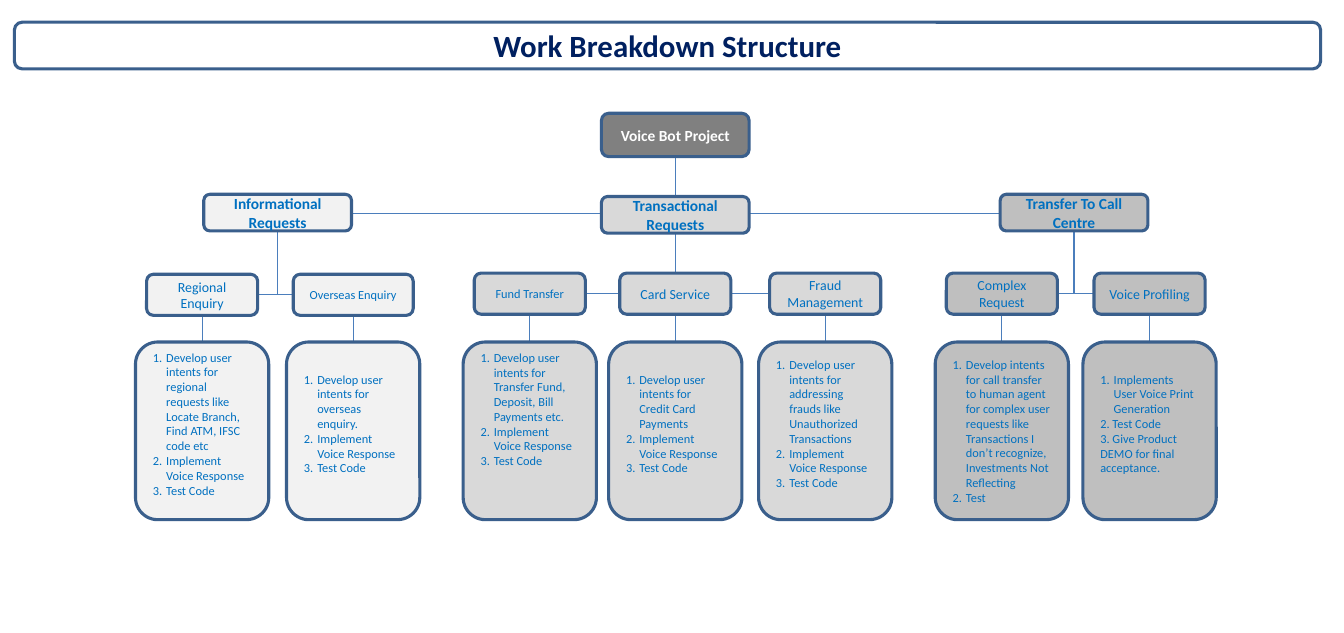
from lxml import etree
from pptx import Presentation
from pptx import util as u
from pptx.dml.color import RGBColor
from pptx.enum import shapes, text
from pptx.oxml.ns import qn

EDGE, LINK, INK, NAVY = "3A5F8C", "4B7EBC", "0070C0", "002060"
VOICE, TEST = "Implement Voice Response", "Test Code"

GROUPS = [
    ("Informational Requests", "F2F2F2", 25, 17.5, 24.7, [
        ("Regional Enquiry", 18.2, 10, 9, 1, [
            "Develop user intents for regional requests like Locate Branch, Find ATM, IFSC code etc",
            VOICE, TEST], []),
        ("Overseas Enquiry", 31.8, 10.8, 8, 1, [
            "Develop user intents for overseas enquiry.", VOICE, TEST], []),
    ]),
    ("Transactional Requests", "D9D9D9", 60.8, 17.7, 24.6, [
        ("Fund Transfer", 47.7, 10, 8, 3, [
            "Develop user intents for Transfer Fund, Deposit, Bill Payments etc.",
            VOICE, TEST], []),
        ("Card Service", 60.8, 10, 9, 1, [
            "Develop user intents for Credit Card Payments", VOICE, TEST], []),
        ("Fraud Management", 74.3, 10, 9, 1, [
            "Develop user intents for addressing frauds like Unauthorized Transactions",
            VOICE, TEST], []),
    ]),
    ("Transfer To Call Centre", "BFBFBF", 96.7, 17.5, 24.6, [
        ("Complex Request", 90.2, 10, 9, 0, [
            "Develop intents for call transfer to human agent for complex user requests like "
            "Transactions I don’t recognize, Investments Not Reflecting", "Test"], []),
        ("Voice Profiling", 103.5, 10, 9, 1, [
            "Implements User Voice Print Generation"],
            ["2. Test Code", "3. Give Product DEMO for final acceptance."]),
    ]),
]


def tint(code):
    return RGBColor.from_string(code)


def write(para, words, size=8, color=INK, bold=False, align="LEFT", auto=False):
    para.alignment = getattr(text.PP_ALIGN, align)
    run = para.add_run()
    run.text = words
    run.font.name = "Calibri"
    run.font.size = u.Pt(size)
    run.font.bold = bold
    run.font.color.rgb = tint(color)
    if auto:
        props = para._p.get_or_add_pPr()
        props.set("marL", str(u.Inches(0.12)))
        props.set("indent", str(-u.Inches(0.12)))
        etree.SubElement(props, qn("a:buFont"), typeface="+mj-lt")
        etree.SubElement(props, qn("a:buAutoNum"), type="arabicPeriod")


class Chart:
    cols, rows = 121, 57
    head, task, card = (13.3, 3.3), 3.7, (12, 16)
    top = 30.8

    def __init__(self, deck):
        self.wide, self.high = deck.slide_width, deck.slide_height
        self.slide = deck.slides.add_slide(deck.slide_layouts[6])

    def spot(self, col, row):
        return round(col * self.wide / self.cols), round(row * self.high / self.rows)

    def line(self, x, y, end, base):
        link = self.slide.shapes.add_connector(
            shapes.MSO_CONNECTOR.STRAIGHT, *self.spot(x, y), *self.spot(end, base))
        link.line.color.rgb = tint(LINK)
        link.line.width = u.Pt(0.75)
        etree.SubElement(link._element.spPr, qn("a:effectLst"))

    def box(self, mid, top, wide, high, fill):
        shape = self.slide.shapes.add_shape(
            shapes.MSO_SHAPE.ROUNDED_RECTANGLE,
            *self.spot(mid - wide / 2, top), *self.spot(wide, high))
        shape.shadow.inherit = False
        shape.fill.solid()
        shape.fill.fore_color.rgb = tint(fill)
        shape.line.color.rgb = tint(EDGE)
        shape.line.width = u.Pt(2)
        frame = shape.text_frame
        frame.word_wrap = True
        frame.vertical_anchor = text.MSO_ANCHOR.MIDDLE
        return frame

    def label(self, words, mid, top, wide, high, fill, **style):
        frame = self.box(mid, top, wide, high, fill)
        write(frame.paragraphs[0], words, align="CENTER", **style)

    def scope(self, mid, fill, steps, notes, gap):
        frame = self.box(mid, self.top, *self.card, fill)
        frame.margin_bottom = u.Inches(0.05 + 0.13 * gap)
        for i, words in enumerate(steps + notes):
            para = frame.add_paragraph() if i else frame.paragraphs[0]
            write(para, words, auto=i < len(steps))

    def group(self, name, fill, mid, top, row, tasks):
        axis = row + self.task / 2
        first, last = tasks[0], tasks[-1]
        self.line(mid, top + self.head[1], mid, row if len(tasks) % 2 else axis)
        self.line(first[1] + first[2] / 2, axis, last[1] - last[2] / 2, axis)
        self.label(name, mid, top, *self.head, fill, size=10, bold=True)
        for title, x, wide, size, gap, steps, notes in tasks:
            self.line(x, row + self.task, x, self.top)
            self.label(title, x, row, wide, self.task, fill, size=size)
            self.scope(x, fill, steps, notes, gap)


def main():
    deck = Presentation()
    deck.slide_width, deck.slide_height = u.Inches(12.1), u.Inches(5.7)
    chart = Chart(deck)
    chart.line(31.7, 19.2, 90, 19.2)
    chart.line(60.8, 14.1, 60.8, 17.7)
    chart.label("Voice Bot Project", 60.8, 10.2, 13.3, 3.9, "808080",
                size=10, color="FFFFFF", bold=True)
    for group in GROUPS:
        chart.group(*group)
    chart.label("Work Breakdown Structure", 60.1, 2, 117.6, 4.2, "FFFFFF",
                size=20, color=NAVY, bold=True)
    deck.save("out.pptx")


if __name__ == "__main__":
    main()
